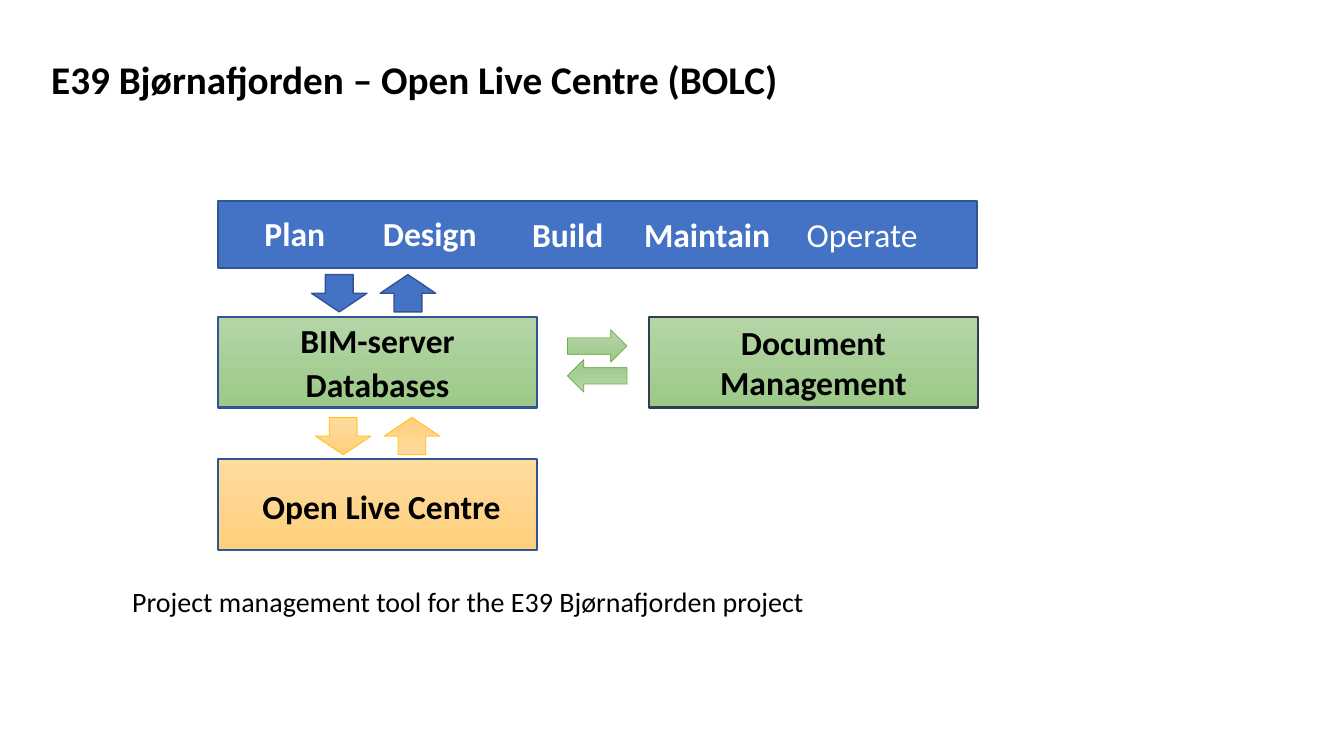
from dataclasses import dataclass

from pptx import Presentation
from pptx.dml.color import RGBColor
from pptx.enum.shapes import MSO_SHAPE as Preset
from pptx.enum.text import MSO_ANCHOR as Anchor, MSO_AUTO_SIZE as AutoSize, PP_ALIGN as Align
from pptx.util import Cm, Pt


@dataclass(frozen=True)
class Theme:
    font: str = "Calibri"
    title_size: float = 28
    label_size: float = 24
    caption_size: float = 20
    black: str = "000000"
    white: str = "FFFFFF"
    blue: tuple = ("4472C4",)
    green: tuple = ("B5D5A7", "9CC987")
    amber: tuple = ("FFDB9E", "FFD07C")
    blue_edge: str = "2F5597"
    slate_edge: str = "333F50"
    blue_arrow_edge: str = "325491"
    green_arrow_edge: str = "70AD47"
    amber_arrow_edge: str = "FFC000"


THEME = Theme()


def lengths(box):
    return [Cm(value) for value in box]


def write(frame, lines, size, color, bold=True, align=Align.CENTER,
          anchor=Anchor.MIDDLE, wrap=True, gap=0):
    frame.word_wrap = wrap
    frame.auto_size = AutoSize.NONE
    frame.vertical_anchor = anchor
    frame.margin_left = frame.margin_right = frame.margin_top = frame.margin_bottom = 0
    for index, line in enumerate(lines):
        paragraph = frame.add_paragraph() if index else frame.paragraphs[0]
        paragraph.text = line
        paragraph.alignment = align
        if index:
            paragraph.space_before = Pt(gap)
        font = paragraph.font
        font.name, font.size, font.bold = THEME.font, Pt(size), bold
        font.color.rgb = RGBColor.from_string(color)


def add_preset(slide, preset, box, colors, edge, weight, rotation=0):
    shape = slide.shapes.add_shape(preset, *lengths(box))
    shape.shadow.inherit = False
    shape.rotation = rotation
    if len(colors) == 1:
        shape.fill.solid()
        shape.fill.fore_color.rgb = RGBColor.from_string(colors[0])
    else:
        shape.fill.gradient()
        shape.fill.gradient_angle = 270
        for stop, color in zip(shape.fill.gradient_stops, colors):
            stop.color.rgb = RGBColor.from_string(color)
    shape.line.color.rgb = RGBColor.from_string(edge)
    shape.line.width = Pt(weight)
    return shape


def add_heading(slide, box):
    heading = slide.shapes.title
    heading.left, heading.top, heading.width, heading.height = lengths(box)
    write(heading.text_frame, ["E39 Bjørnafjorden – Open Live Centre (BOLC)"],
          THEME.title_size, THEME.black, align=Align.LEFT, wrap=False)
    heading.text_frame.margin_left = Cm(0.25)


def add_phases(slide, box):
    left, top, width, height = box
    add_preset(slide, Preset.RECTANGLE, box, THEME.blue, THEME.blue_edge, 1.5)
    label_width = 4
    phases = [("Plan", 1.94, -0.03, True), ("Design", 5.34, -0.03, True),
              ("Build", 8.82, 0, True), ("Maintain", 12.33, 0, True),
              ("Operate", 16.24, 0, False)]
    for phase, center, rise, bold in phases:
        label = slide.shapes.add_textbox(
            *lengths((left + center - label_width / 2, top + rise, label_width, height)))
        write(label.text_frame, [phase], THEME.label_size, THEME.white, bold)


def add_system(slide, box, lines, colors, edge, gap=0, nudge=(0, 0)):
    system = add_preset(slide, Preset.RECTANGLE, box, colors, edge, 1.5)
    write(system.text_frame, lines, THEME.label_size, THEME.black, gap=gap)
    system.text_frame.margin_left, system.text_frame.margin_top = lengths(nudge)


def add_vertical_exchange(slide, box, colors, edge, weight):
    left, top, width, height = box
    arrow_width = 1.4
    for x, rotation in ((left, 0), (left + width - arrow_width, 180)):
        add_preset(slide, Preset.DOWN_ARROW, (x, top, arrow_width, height),
                   colors, edge, weight, rotation)


def add_side_exchange(slide, box):
    left, top, width, height = box
    arrow_height = 0.82
    for y, rotation in ((top, 0), (top + height - arrow_height, 180)):
        add_preset(slide, Preset.RIGHT_ARROW, (left, y, width, arrow_height),
                   THEME.green, THEME.green_arrow_edge, 0.5, rotation)


def add_caption(slide, box):
    caption = slide.shapes.add_textbox(*lengths(box))
    write(caption.text_frame, ["Project management tool for the E39 Bjørnafjorden project"],
          THEME.caption_size, THEME.black, False, Align.LEFT, Anchor.TOP)


def main():
    deck = Presentation()
    deck.slide_width, deck.slide_height = Cm(33.87), Cm(19.05)
    slide = deck.slides.add_slide(deck.slide_layouts[5])
    add_heading(slide, (1.04, 1.27, 19.05, 1.45))
    add_phases(slide, (5.49, 5.06, 19.13, 1.7))
    add_vertical_exchange(slide, (7.85, 6.92, 3.13, 0.94),
                          THEME.blue, THEME.blue_arrow_edge, 1)
    add_system(slide, (5.49, 7.98, 8.05, 2.29), ["BIM-server", "Databases"],
               THEME.green, THEME.blue_edge, gap=2.5)
    add_side_exchange(slide, (14.3, 8.31, 1.5, 1.57))
    add_system(slide, (16.36, 7.98, 8.28, 2.29), ["Document Management"],
               THEME.green, THEME.slate_edge)
    add_vertical_exchange(slide, (7.95, 10.52, 3.13, 0.94),
                          THEME.amber, THEME.amber_arrow_edge, 0.5)
    add_system(slide, (5.49, 11.56, 8.05, 2.29), ["Open Live Centre"],
               THEME.amber, THEME.blue_edge, nudge=(0.2, 0.1))
    add_caption(slide, (3.33, 14.73, 23.72, 1.19))
    deck.save("out.pptx")


if __name__ == "__main__":
    main()
